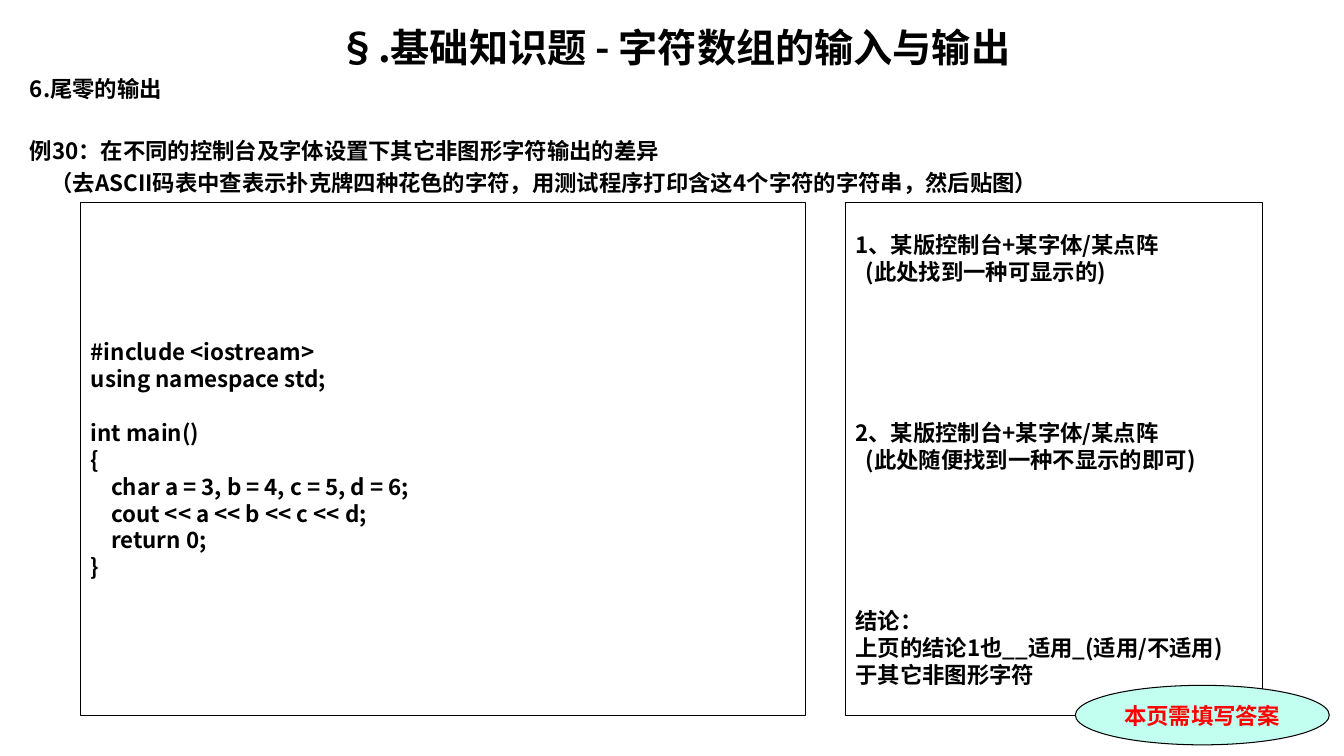
from lxml.etree import SubElement
from pptx import Presentation
from pptx.dml.color import RGBColor
from pptx.enum.shapes import MSO_SHAPE
from pptx.enum.text import MSO_ANCHOR, MSO_AUTO_SIZE, PP_ALIGN
from pptx.oxml.ns import qn
from pptx.util import Cm, Pt

FONT = "Noto Sans CJK SC"
COLORS = {"text": "000000", "line": "000000", "badge": "C2FFF0", "answer": "FF0000"}
SIZE = 16
LEADING = 1.2
LINE = SIZE * LEADING
LIST_GAP = SIZE * 0.2

# Each line: (text, space before in points, indent in cm)
TITLE = [("§.基础知识题 - 字符数组的输入与输出", 0, 0)]
INTRO = [
    ("6.尾零的输出", 0, 0),
    ("例30：在不同的控制台及字体设置下其它非图形字符输出的差异", LINE + 2 * LIST_GAP, 0),
    ("（去ASCII码表中查表示扑克牌四种花色的字符，用测试程序打印含这4个字符的字符串，然后贴图）",
     LIST_GAP, 0.52),
]
CODE = [
    ("#include <iostream>", 0, 0),
    ("using namespace std;", 0, 0),
    ("int main()", LINE, 0),
    ("{", 0, 0),
    ("    char a = 3, b = 4, c = 5, d = 6;", 0, 0),
    ("    cout << a << b << c << d;", 0, 0),
    ("    return 0;", 0, 0),
    ("}", 0, 0),
]
ANSWERS = [
    ("1、某版控制台+某字体/某点阵", 0, 0),
    ("(此处找到一种可显示的)", 0, 0.26),
    ("2、某版控制台+某字体/某点阵", 5 * LINE, 0),
    ("(此处随便找到一种不显示的即可)", 0, 0.26),
    ("结论：", 5 * LINE, 0),
    ("上页的结论1也__适用_(适用/不适用)", 0, 0),
    ("于其它非图形字符", 0, 0),
]
BADGE = [("本页需填写答案", 0, 0)]

# Left, top, width, height in cm
TITLE_BOX = (0.5, 0.46, 33, 1.3)
INTRO_BOX = (0.5, 1.76, 33, 3.3)
CODE_BOX = (2.04, 5.11, 18.26, 12.93)
ANSWER_BOX = (21.31, 5.11, 10.52, 12.93)
BADGE_BOX = (27.1, 17.27, 6.4, 1.5)


def write(tf, lines, align, anchor, size=SIZE, latin=FONT, color="text", wrap=True):
    tf.auto_size = MSO_AUTO_SIZE.NONE
    tf.word_wrap = wrap
    tf.vertical_anchor = anchor
    for i, (text, gap, indent) in enumerate(lines):
        p = tf.paragraphs[0] if i == 0 else tf.add_paragraph()
        pPr = p._p.get_or_add_pPr()
        pPr.set("marL", str(Cm(indent)))
        pPr.set("indent", "0")
        SubElement(pPr, qn("a:buNone"))
        p.alignment = align
        p.line_spacing = Pt(size * LEADING)
        p.space_before = Pt(gap)
        r = p.add_run()
        r.text = text
        r.font.size = Pt(size)
        r.font.bold = True
        r.font.color.rgb = RGBColor.from_string(COLORS[color])
        r.font.name = latin
        SubElement(r._r.get_or_add_rPr(), qn("a:ea"), typeface=FONT)


def place(sp, box):
    sp.left, sp.top, sp.width, sp.height = (Cm(v) for v in box)


def add_outlined(s, kind, box, fill=None):
    sp = s.shapes.add_shape(kind, *(Cm(v) for v in box))
    sp.shadow.inherit = False
    sp.line.color.rgb = RGBColor.from_string(COLORS["line"])
    sp.line.width = Pt(0.75)
    if fill:
        sp.fill.solid()
        sp.fill.fore_color.rgb = RGBColor.from_string(COLORS[fill])
    else:
        sp.fill.background()
    return sp


def main():
    prs = Presentation()
    prs.slide_width, prs.slide_height = Cm(33.87), Cm(19.05)
    s = prs.slides.add_slide(prs.slide_layouts[1])

    title, intro = s.shapes.title, s.placeholders[1]
    place(title, TITLE_BOX)
    write(title.text_frame, TITLE, PP_ALIGN.CENTER, MSO_ANCHOR.TOP, size=28)
    place(intro, INTRO_BOX)
    write(intro.text_frame, INTRO, PP_ALIGN.JUSTIFY, MSO_ANCHOR.TOP)

    for box, lines in ((CODE_BOX, CODE), (ANSWER_BOX, ANSWERS)):
        panel = add_outlined(s, MSO_SHAPE.RECTANGLE, box)
        write(panel.text_frame, lines, PP_ALIGN.LEFT, MSO_ANCHOR.MIDDLE, wrap=False)

    badge = add_outlined(s, MSO_SHAPE.OVAL, BADGE_BOX, "badge")
    write(badge.text_frame, BADGE, PP_ALIGN.CENTER, MSO_ANCHOR.MIDDLE,
          latin="Times New Roman", color="answer")

    prs.save("out.pptx")


if __name__ == "__main__":
    main()
